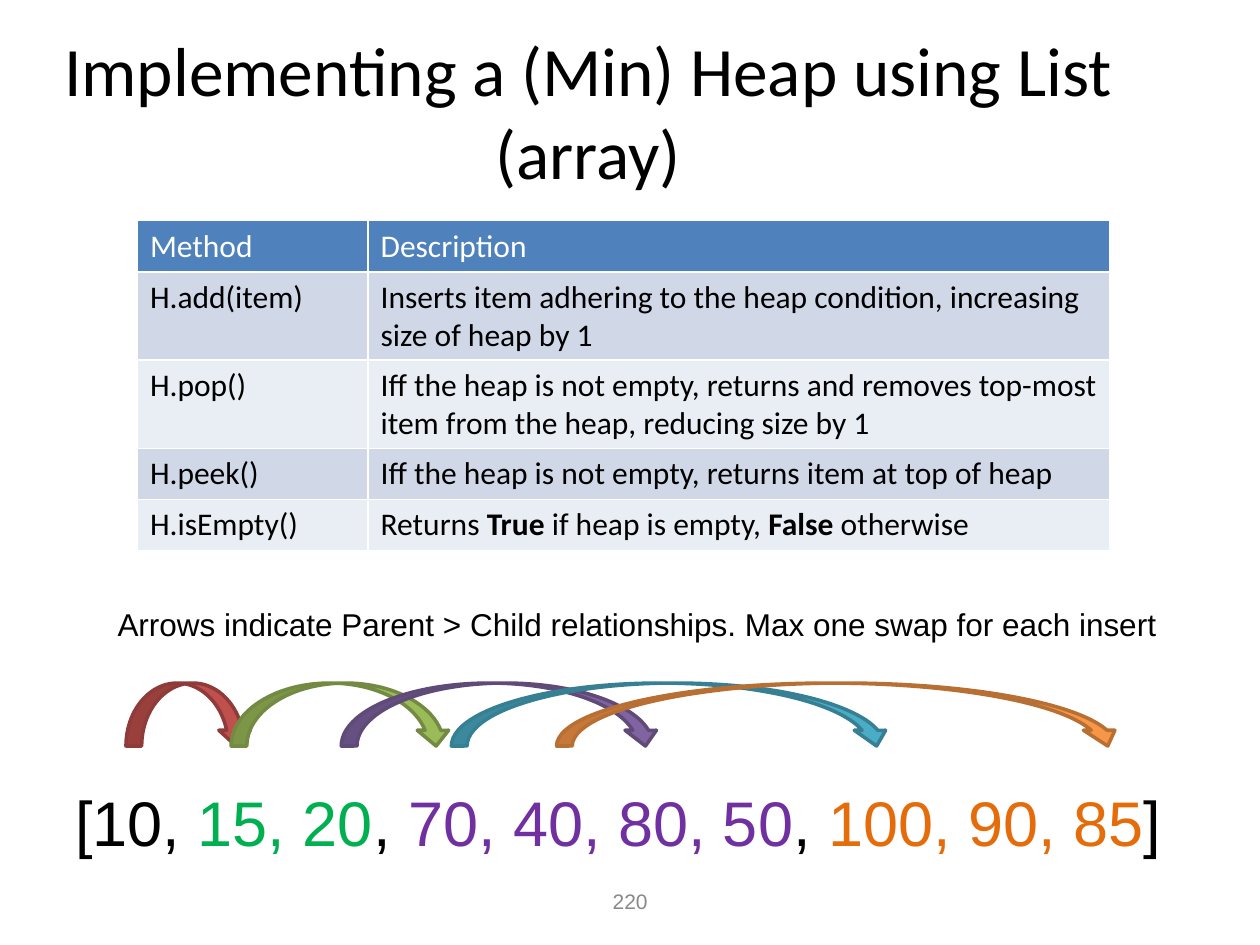
from lxml import etree
from pptx import Presentation
from pptx.dml.color import RGBColor
from pptx.enum.shapes import MSO_SHAPE
from pptx.enum.text import MSO_ANCHOR, PP_ALIGN
from pptx.oxml.ns import qn
from pptx.util import Cm, Pt

ARC = MSO_SHAPE.CURVED_DOWN_ARROW
LEFT, MID = PP_ALIGN.LEFT, PP_ALIGN.CENTER
TOP, CENTER = MSO_ANCHOR.TOP, MSO_ANCHOR.MIDDLE

BLACK = RGBColor(0x00, 0x00, 0x00)
WHITE = RGBColor(0xFF, 0xFF, 0xFF)
GRAY = RGBColor(0x89, 0x89, 0x89)
BLUE = RGBColor(0x4F, 0x81, 0xBD)
BANDS = RGBColor(0xD0, 0xD8, 0xE8), RGBColor(0xE9, 0xED, 0xF4)
GREEN = RGBColor(0x00, 0xB0, 0x50)
PURPLE = RGBColor(0x70, 0x30, 0xA0)
ORANGE = RGBColor(0xE4, 0x6C, 0x0A)

METHODS = [
    ("Method", "Description"),
    ("H.add(item)", "Inserts item adhering to the heap condition, increasing size of heap by 1"),
    ("H.pop()", "Iff the heap is not empty, returns and removes top-most item from the heap, reducing size by 1"),
    ("H.peek()", "Iff the heap is not empty, returns item at top of heap"),
    ("H.isEmpty()", [("Returns ", {}), ("True", {"bold": True}), (" if heap is empty, ", {}),
                     ("False", {"bold": True}), (" otherwise", {})]),
]
LEVELS = [
    ("[10, ", {}), ("15, 20", {"color": GREEN}), (", ", {}),
    ("70, 40, 80, 50", {"color": PURPLE}), (", ", {}),
    ("100, 90, 85", {"color": ORANGE}), ("]", {}),
]
ARROWS = [
    (2.54, 2.54, RGBColor(0xC0, 0x50, 0x4D), RGBColor(0x8E, 0x3B, 0x39)),
    (4.66, 4.45, RGBColor(0x9B, 0xBB, 0x59), RGBColor(0x73, 0x8A, 0x42)),
    (6.88, 6.45, RGBColor(0x80, 0x64, 0xA2), RGBColor(0x5F, 0x4A, 0x78)),
    (9.1, 8.89, RGBColor(0x4B, 0xAC, 0xC6), RGBColor(0x37, 0x7F, 0x92)),
    (11.22, 11.43, RGBColor(0xF7, 0x96, 0x46), RGBColor(0xB7, 0x6F, 0x34)),
]


def write(frame, text, font="Arial", size=18, color=BLACK, bold=False, align=LEFT):
    para = frame.paragraphs[0]
    para.alignment = align
    parts = [(text, {})] if isinstance(text, str) else text
    for words, style in parts:
        run = para.add_run()
        run.text = words
        run.font.name = font
        run.font.size = Pt(size)
        run.font.color.rgb = style.get("color", color)
        run.font.bold = style.get("bold", bold)


class Page:
    head = "Calibri"
    edge = Pt(1)

    def __init__(self, deck):
        self.shapes = deck.slides.add_slide(deck.slide_layouts[6]).shapes

    def label(self, box, text, wrap=True, anchor=TOP, **style):
        frame = self.shapes.add_textbox(*map(Cm, box)).text_frame
        frame.word_wrap = wrap
        frame.vertical_anchor = anchor
        write(frame, text, **style)

    def arrow(self, box, fill, line):
        shape = self.shapes.add_shape(ARC, *map(Cm, box))
        shape.shadow.inherit = False
        shape.fill.solid()
        shape.fill.fore_color.rgb = fill
        shape.line.color.rgb = line
        shape.line.width = Pt(2)

    def border(self, cell):
        props = cell._tc.get_or_add_tcPr()
        for spot, side in enumerate(("a:lnL", "a:lnR", "a:lnT", "a:lnB")):
            line = etree.Element(qn(side), w=str(self.edge))
            fill = etree.SubElement(line, qn("a:solidFill"))
            etree.SubElement(fill, qn("a:srgbClr"), val=str(WHITE))
            props.insert(spot, line)

    def table(self, left, top, cols, rows, data):
        box = map(Cm, (left, top, sum(cols), sum(rows)))
        grid = self.shapes.add_table(len(rows), len(cols), *box).table
        for col, width in zip(grid.columns, cols):
            col.width = Cm(width)
        for i, (row, tall, texts) in enumerate(zip(grid.rows, rows, data)):
            row.height = Cm(tall)
            for cell, text in zip(row.cells, texts):
                cell.fill.solid()
                cell.fill.fore_color.rgb = BANDS[(i - 1) % 2] if i else BLUE
                self.border(cell)
                write(cell.text_frame, text, font=self.head, color=BLACK if i else WHITE)


def main():
    deck = Presentation()
    deck.slide_width, deck.slide_height = Cm(25.4), Cm(19.05)
    page = Page(deck)
    page.label((0.43, 0.64, 22.86, 3.18), "Implementing a (Min) Heap using List (array)",
               anchor=CENTER, font=page.head, size=39.6, align=MID)
    page.label((8.68, 17.65, 8.05, 1.02), "220", anchor=CENTER,
               size=12, color=GRAY, align=MID)
    page.table(2.77, 4.45, (4.65, 14.96), (1.03, 1.78, 1.78, 1.03, 1.03), METHODS)
    page.label((1.27, 15.67, 22.6, 1.8), LEVELS, wrap=False, size=36)
    for left, width, fill, line in ARROWS:
        page.arrow((left, 13.77, width, 1.27), fill, line)
    page.label((2.12, 12.07, 21.6, 1.02),
               "Arrows indicate Parent > Child relationships. Max one swap for each insert",
               wrap=False)
    deck.save("out.pptx")


if __name__ == "__main__":
    main()
